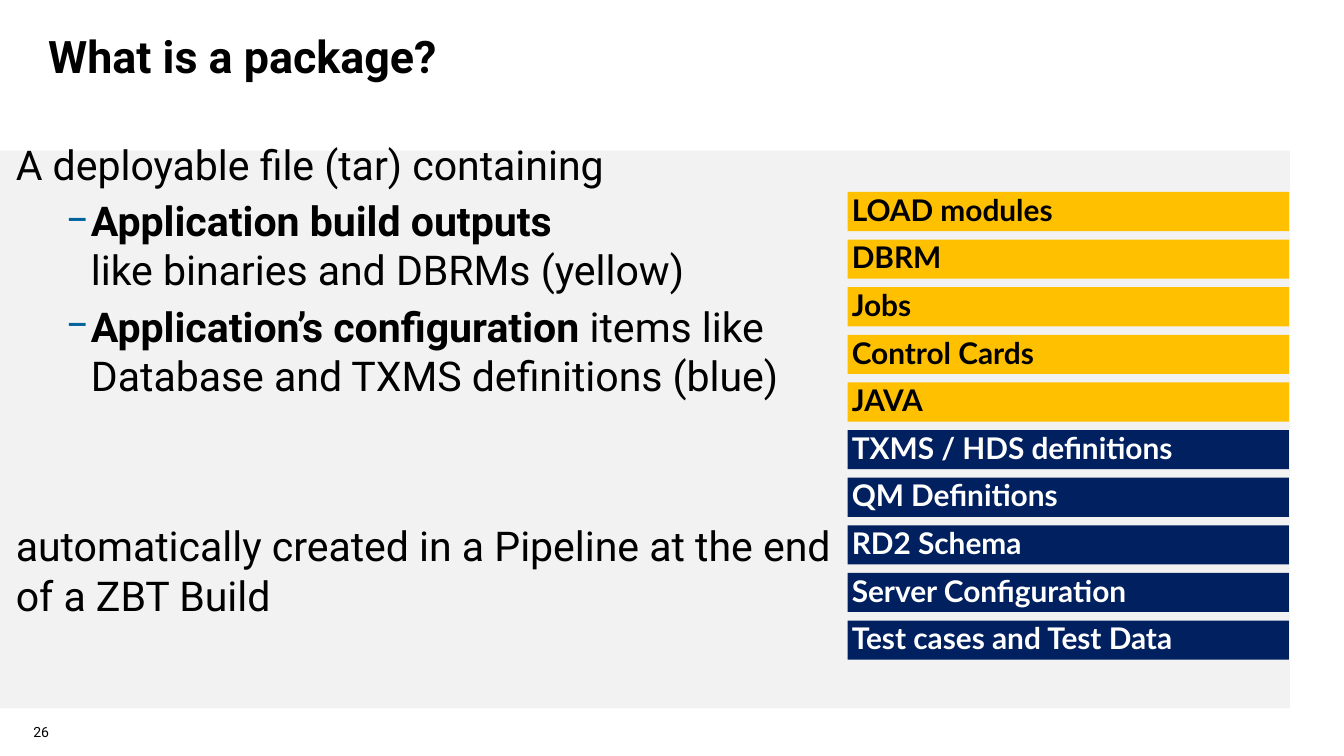
"""Build the slide that explains what a package is."""
from dataclasses import dataclass

from lxml import etree
from pptx import Presentation
from pptx.dml.color import RGBColor
from pptx.enum.shapes import MSO_SHAPE
from pptx.enum.text import MSO_ANCHOR, PP_ALIGN
from pptx.oxml.ns import qn
from pptx.util import Cm, Pt

TITLE = "What is a package?"
PAGE = "26"
INTRO = "A deployable file (tar) containing"
CONTENTS = [
    [("Application build outputs", True), "break", ("like binaries and DBRMs (yellow)", False)],
    [("Application’s configuration ", True),
     ("items like Database and TXMS definitions (blue)", False)],
]
CLOSING = "automatically created in a Pipeline at the end of a ZBT Build"
BUILD_OUTPUTS = ["LOAD modules", "DBRM", "Jobs", "Control Cards", "JAVA"]
CONFIGURATION = ["TXMS / HDS definitions", "QM Definitions", "RD2 Schema",
                 "Server Configuration", "Test cases and Test Data"]


@dataclass(frozen=True)
class Theme:
    text: str = "000000"
    light_text: str = "FFFFFF"
    panel: str = "F2F2F2"
    output: str = "FFC000"
    configuration: str = "002060"
    bullet: str = "00639C"
    font: str = "Roboto"
    bar_font: str = "Lato"
    title_size: float = 24
    body_size: float = 22
    bar_size: float = 16
    page_size: float = 7.5


THEME = Theme()
BAR_LEFT, BAR_TOP, BAR_WIDTH, BAR_HEIGHT, BAR_PITCH = 16.02, 3.63, 8.34, 0.74, 0.9


def style(paragraph, size, color=THEME.text, name=THEME.font, bold=None):
    font = paragraph.font
    font.size, font.name, font.bold = Pt(size), name, bold
    font.color.rgb = RGBColor.from_string(color)


def frame_setup(shape, anchor, across=0.25, down=0.13):
    frame = shape.text_frame
    frame.word_wrap = True
    frame.vertical_anchor = anchor
    frame.margin_left = frame.margin_right = Cm(across)
    frame.margin_top = frame.margin_bottom = Cm(down)
    return frame


def add_block(slide, left, top, width, height, fill):
    block = slide.shapes.add_shape(MSO_SHAPE.RECTANGLE, Cm(left), Cm(top), Cm(width), Cm(height))
    block.shadow.inherit = False
    block.fill.solid()
    block.fill.fore_color.rgb = RGBColor.from_string(fill)
    block.line.fill.background()
    return block


def add_dash(paragraph):
    properties = paragraph._p.get_or_add_pPr()
    properties.set("marL", str(Cm(1.42)))
    properties.set("indent", str(Cm(-0.48)))
    color = etree.SubElement(properties, qn("a:buClr"))
    etree.SubElement(color, qn("a:srgbClr"), val=THEME.bullet)
    etree.SubElement(properties, qn("a:buFont"), typeface=THEME.font)
    etree.SubElement(properties, qn("a:buChar"), char="−")


def add_title(slide):
    title = slide.shapes.title
    title.left, title.top, title.width, title.height = Cm(0.66), Cm(0.41), Cm(24.08), Cm(2.16)
    heading = frame_setup(title, MSO_ANCHOR.TOP).paragraphs[0]
    heading.text = TITLE
    heading.alignment = PP_ALIGN.LEFT
    style(heading, THEME.title_size, bold=True)


def add_description(slide):
    box = slide.shapes.add_textbox(Cm(0.05), Cm(2.46), Cm(15.98), Cm(10.9))
    frame = frame_setup(box, MSO_ANCHOR.TOP, down=0.17)
    intro = frame.paragraphs[0]
    intro.text = INTRO
    style(intro, THEME.body_size)
    for parts in CONTENTS:
        item = frame.add_paragraph()
        add_dash(item)
        item.space_before = Pt(3.8)
        style(item, THEME.body_size)
        for part in parts:
            if part == "break":
                item.add_line_break()
                continue
            run = item.add_run()
            run.text, run.font.bold = part
    closing = frame.add_paragraph()
    closing.text = CLOSING
    closing.space_before = Pt(65)
    style(closing, THEME.body_size)


def add_bars(slide):
    bars = [(label, THEME.output, THEME.text) for label in BUILD_OUTPUTS]
    bars += [(label, THEME.configuration, THEME.light_text) for label in CONFIGURATION]
    for row, (label, fill, color) in enumerate(bars):
        bar = add_block(slide, BAR_LEFT, BAR_TOP + row * BAR_PITCH, BAR_WIDTH, BAR_HEIGHT, fill)
        line = frame_setup(bar, MSO_ANCHOR.MIDDLE, 0.08, 0.08).paragraphs[0]
        line.text = label
        line.alignment = PP_ALIGN.LEFT
        line.line_spacing = 0.9
        style(line, THEME.bar_size, color, THEME.bar_font, True)


def add_page_number(slide):
    box = slide.shapes.add_textbox(Cm(0.38), Cm(13.59), Cm(1.14), Cm(0.48))
    number = frame_setup(box, MSO_ANCHOR.MIDDLE, down=0).paragraphs[0]
    number.text = PAGE
    style(number, THEME.page_size)


def main():
    deck = Presentation()
    deck.slide_width, deck.slide_height = Cm(25.4), Cm(14.29)
    slide = deck.slides.add_slide(deck.slide_layouts[5])
    add_title(slide)
    add_block(slide, 0, 2.85, 24.38, 10.54, THEME.panel)
    add_description(slide)
    add_bars(slide)
    add_page_number(slide)
    deck.save("out.pptx")


if __name__ == "__main__":
    main()
